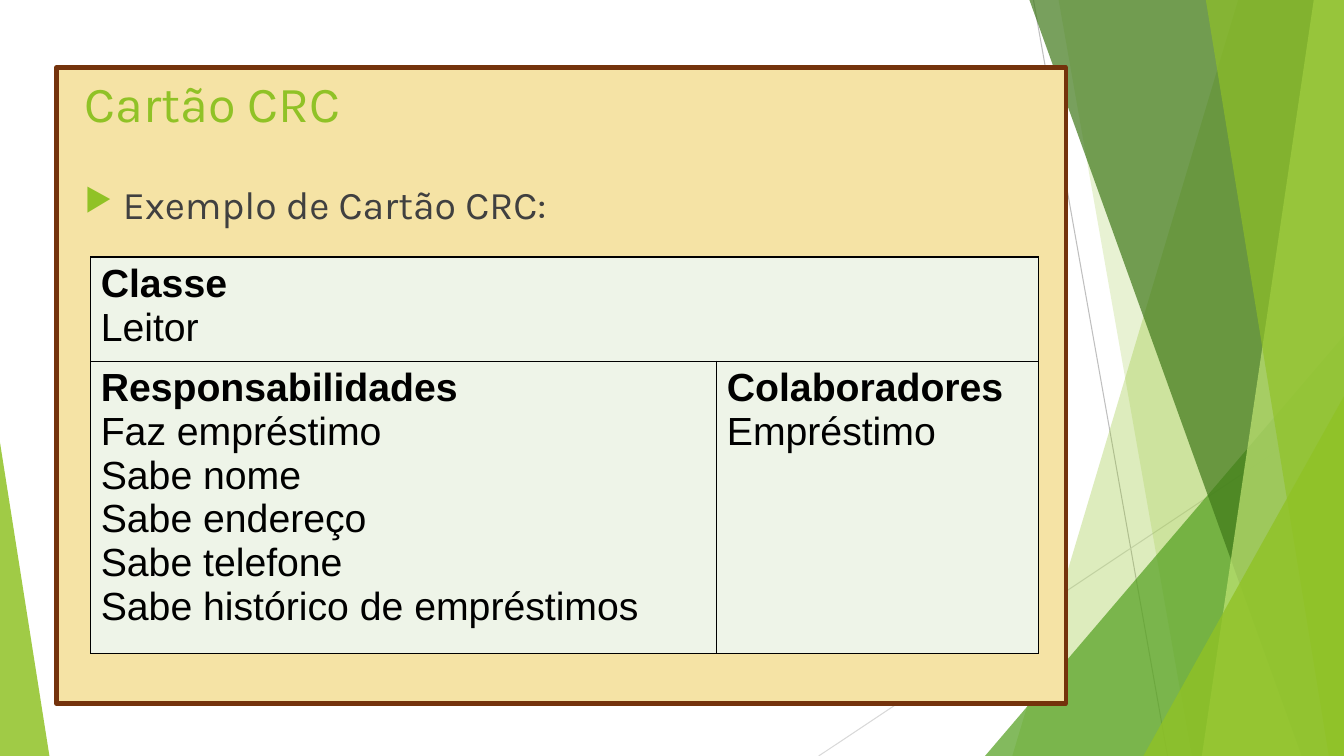
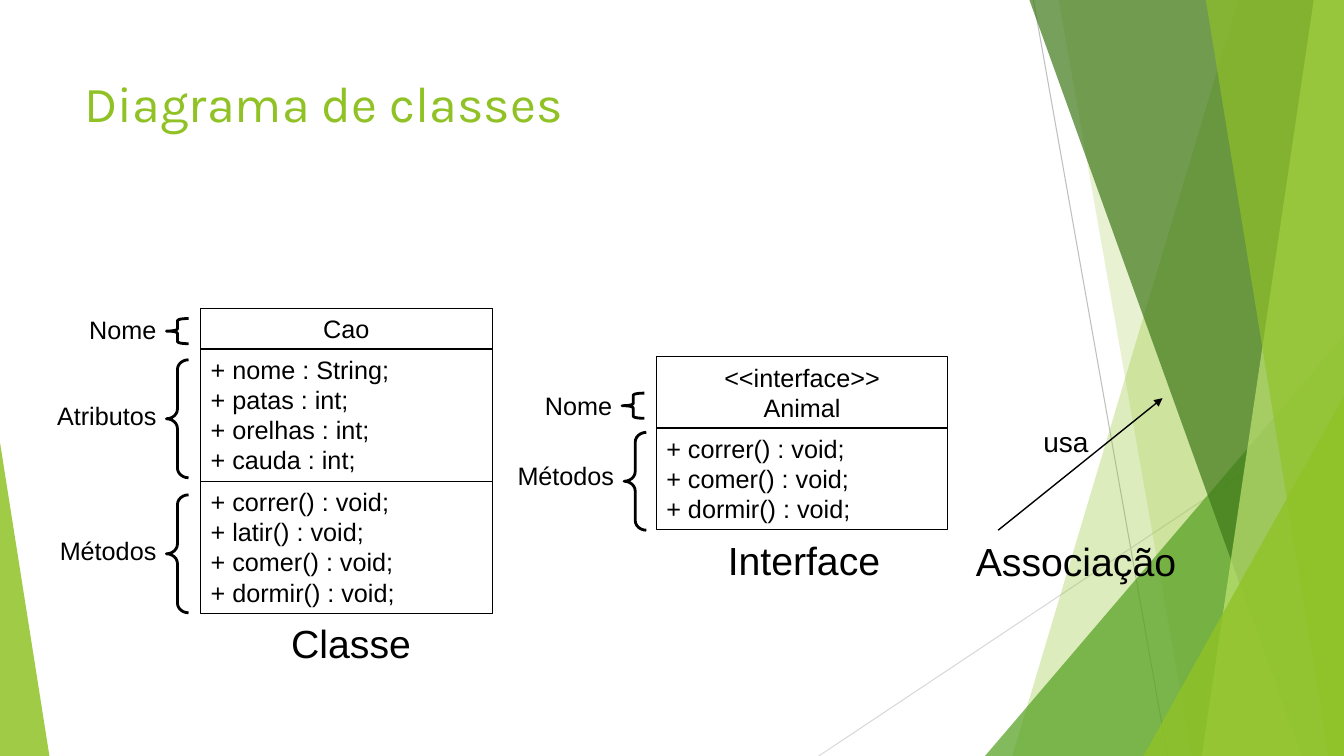
from lxml import etree
from pptx import Presentation
from pptx.dml.color import RGBColor
from pptx.enum.shapes import MSO_CONNECTOR, MSO_SHAPE
from pptx.enum.text import MSO_ANCHOR, PP_ALIGN
from pptx.oxml.ns import qn
from pptx.util import Inches, Pt

RECTANGLE = MSO_SHAPE.RECTANGLE
TRIANGLE = MSO_SHAPE.ISOSCELES_TRIANGLE
LEFT_BRACE = MSO_SHAPE.LEFT_BRACE
STRAIGHT = MSO_CONNECTOR.STRAIGHT
TOP = MSO_ANCHOR.TOP
LEFT, CENTER, RIGHT = PP_ALIGN.LEFT, PP_ALIGN.CENTER, PP_ALIGN.RIGHT

GREEN = "90C226"
BLACK = "000000"
GRAY = "404040"
WIDTH, HEIGHT = 13.33, 7.5
TEXT_SIZE, LARGE_SIZE = 18, 28


def paint(fill, color, opacity=100):
    fill.solid()
    fill.fore_color.rgb = RGBColor.from_string(color)
    if opacity < 100:
        for element in fill._xPr.iter(qn("a:srgbClr")):
            etree.SubElement(element, qn("a:alpha"), val=str(opacity * 1000))


def write(frame, lines, size, color=BLACK, font="Arial", align=LEFT, heading=False, wrap=True):
    frame.word_wrap = wrap
    for index, line in enumerate(lines):
        paragraph = frame.add_paragraph() if index else frame.paragraphs[0]
        paragraph.alignment = align
        run = paragraph.add_run()
        run.text = line
        run.font.name = font
        run.font.size = Pt(size)
        run.font.bold = heading and index == 0
        paint(run.font.fill, color)


presentation = Presentation()
presentation.slide_width = Inches(WIDTH)
presentation.slide_height = Inches(HEIGHT)
blank_layout = presentation.slide_layouts[6]

background_lines = [
    (10.25, 0, 11.58, HEIGHT, "BFBFBF"),
    (WIDTH, 4.03, 8.12, HEIGHT, "D9D9D9"),
]
# apex None
facets = [
    (GREEN, 30, None, (12.28, 10.04)),
    (GREEN, 20, None, (10.5, 11.82)),
    ("54A021", 72, 1, (9.77, 3.33, 3.56)),
    ("3F7819", 70, None, (10.21, 12.91)),
    ("C0E474", 70, None, (13.03, 11.92)),
    (GREEN, 65, None, (11.96, 13.18)),
    (GREEN, 80, 1, (11.34, 3.93, 1.99)),
    (GREEN, 85, 0, (0, 4.39, 0.49)),
]

for title, has_panel in (("Cartão CRC", True), ("Diagrama de classes", False)):
    slide = presentation.slides.add_slide(blank_layout)
    for x1, y1, x2, y2, color in background_lines:
        connector = slide.shapes.add_connector(STRAIGHT, Inches(x1), Inches(y1), Inches(x2), Inches(y2))
        paint(connector.line.fill, color)
        connector.line.width = Pt(0.75)
        etree.SubElement(connector._element.spPr, qn("a:effectLst"))
    for color, opacity, apex, geometry in facets:
        if apex is None:
            top_x, bottom_x = geometry
            builder = slide.shapes.build_freeform(Inches(top_x), 0)
            corners = [(WIDTH, 0), (WIDTH, HEIGHT), (bottom_x, HEIGHT)]
            builder.add_line_segments([(Inches(x), Inches(y)) for x, y in corners])
            shape = builder.convert_to_shape()
        else:
            left, top, width = geometry
            shape = slide.shapes.add_shape(
                TRIANGLE, Inches(left), Inches(top), Inches(width), Inches(HEIGHT - top))
            shape.adjustments[0] = apex
        shape.shadow.inherit = False
        paint(shape.fill, color, opacity)
        shape.line.fill.background()
    if has_panel:
        panel = slide.shapes.add_shape(RECTANGLE, Inches(0.56), Inches(0.67), Inches(10.01), Inches(6.31))
        panel.shadow.inherit = False
        paint(panel.fill, "F5E3A5")
        paint(panel.line.fill, "74330C")
        panel.line.width = Pt(3)
    title_box = slide.shapes.add_textbox(Inches(0.74), Inches(0.67), Inches(9.4), Inches(1.44))
    write(title_box.text_frame, [title], 36, GREEN, "Karla")

card_slide, diagram_slide = presentation.slides

body = card_slide.shapes.add_textbox(Inches(0.74), Inches(1.74), Inches(9.4), Inches(0.7))
write(body.text_frame, ["Exemplo de Cartão CRC:"], LARGE_SIZE, GRAY, "Karla")
paragraph = body.text_frame.paragraphs[0]
paragraph.space_before = Pt(10)
properties = paragraph._p.get_or_add_pPr()
properties.set("marL", str(Inches(0.38)))
properties.set("indent", str(Inches(-0.38)))
bullet_color = etree.SubElement(properties, qn("a:buClr"))
etree.SubElement(bullet_color, qn("a:srgbClr"), val=GREEN)
etree.SubElement(properties, qn("a:buSzPct"), val="80000")
etree.SubElement(properties, qn("a:buChar"), char="▶")

table = card_slide.shapes.add_table(2, 2, Inches(0.9), Inches(2.55), Inches(9.4), Inches(3.93)).table
table.first_row = False
table.horz_banding = False
for column, width in zip(table.columns, (6.21, 3.19)):
    column.width = Inches(width)
for row, height in zip(table.rows, (1.03, 2.9)):
    row.height = Inches(height)
table.cell(0, 0).merge(table.cell(0, 1))
for cell in table.iter_cells():
    cell_properties = cell._tc.get_or_add_tcPr()
    for side in ("a:lnL", "a:lnR", "a:lnT", "a:lnB"):
        border = etree.SubElement(cell_properties, qn(side), w=str(Pt(1)))
        border_fill = etree.SubElement(border, qn("a:solidFill"))
        etree.SubElement(border_fill, qn("a:srgbClr"), val=BLACK)
    paint(cell.fill, "EEF4E8")
card_texts = {
    (0, 0): ["Classe", "Leitor"],
    (1, 0): ["Responsabilidades", "Faz empréstimo", "Sabe nome", "Sabe endereço",
             "Sabe telefone", "Sabe histórico de empréstimos"],
    (1, 1): ["Colaboradores", "Empréstimo"],
}
for (row, column), lines in card_texts.items():
    write(table.cell(row, column).text_frame, lines, LARGE_SIZE, heading=True)

class_boxes = [
    (1.99, 3.06, [
        ["Cao"],
        ["+ nome : String;", "+ patas : int;", "+ orelhas : int;", "+ cauda : int;"],
        ["+ correr() : void;", "+ latir() : void;", "+ comer() : void;", "+ dormir() : void;"],
    ]),
    (6.51, 3.54, [
        ["<<interface>>", "Animal"],
        ["+ correr() : void;", "+ comer() : void;", "+ dormir() : void;"],
    ]),
]
for left, top, compartments in class_boxes:
    for index, lines in enumerate(compartments):
        height = 0.1 + 0.303 * len(lines)
        shape = diagram_slide.shapes.add_shape(
            RECTANGLE, Inches(left), Inches(top), Inches(2.89), Inches(height))
        shape.shadow.inherit = False
        shape.fill.background()
        paint(shape.line.fill, BLACK)
        shape.line.width = Pt(0.75)
        shape.text_frame.vertical_anchor = TOP
        write(shape.text_frame, lines, TEXT_SIZE, align=LEFT if index else CENTER)
        top += height

braces = [
    ("Nome", 1.65, 3.16, 0.25, 0.09, 3.07),
    ("Atributos", 1.65, 3.57, 1.17, 0.44, 3.92),
    ("Métodos", 1.65, 4.91, 1.17, 0.44, 5.26),
    ("Nome", 6.17, 3.9, 0.25, 0.09, 3.82),
    ("Métodos", 6.19, 4.29, 0.97, 0.44, 4.52),
]
for label, left, top, height, curve, label_top in braces:
    brace = diagram_slide.shapes.add_shape(
        LEFT_BRACE, Inches(left), Inches(top), Inches(0.22), Inches(height))
    brace.shadow.inherit = False
    brace.adjustments[0] = curve
    brace.fill.background()
    paint(brace.line.fill, BLACK)
    brace.line.width = Pt(2)
    label_box = diagram_slide.shapes.add_textbox(
        Inches(left - 1.58), Inches(label_top), Inches(1.58), Inches(0.4))
    write(label_box.text_frame, [label], TEXT_SIZE, align=RIGHT)

arrow = diagram_slide.shapes.add_connector(
    STRAIGHT, Inches(9.9), Inches(5.26), Inches(11.53), Inches(3.95))
paint(arrow.line.fill, BLACK)
arrow.line.width = Pt(1)
etree.SubElement(arrow.line._get_or_add_ln(), qn("a:tailEnd"), type="triangle")
etree.SubElement(arrow._element.spPr, qn("a:effectLst"))

captions = [
    ("Classe", 2.79, 6.09, 1.4, 0.57, LARGE_SIZE),
    ("Interface", 7.12, 5.27, 1.73, 0.57, LARGE_SIZE),
    ("Associação", 9.58, 5.28, 2.21, 0.57, LARGE_SIZE),
    ("usa", 10.25, 4.16, 0.65, 0.44, 20),
]
for caption, left, top, width, height, size in captions:
    caption_box = diagram_slide.shapes.add_textbox(
        Inches(left), Inches(top), Inches(width), Inches(height))
    write(caption_box.text_frame, [caption], size, wrap=False)

presentation.save("out.pptx")
